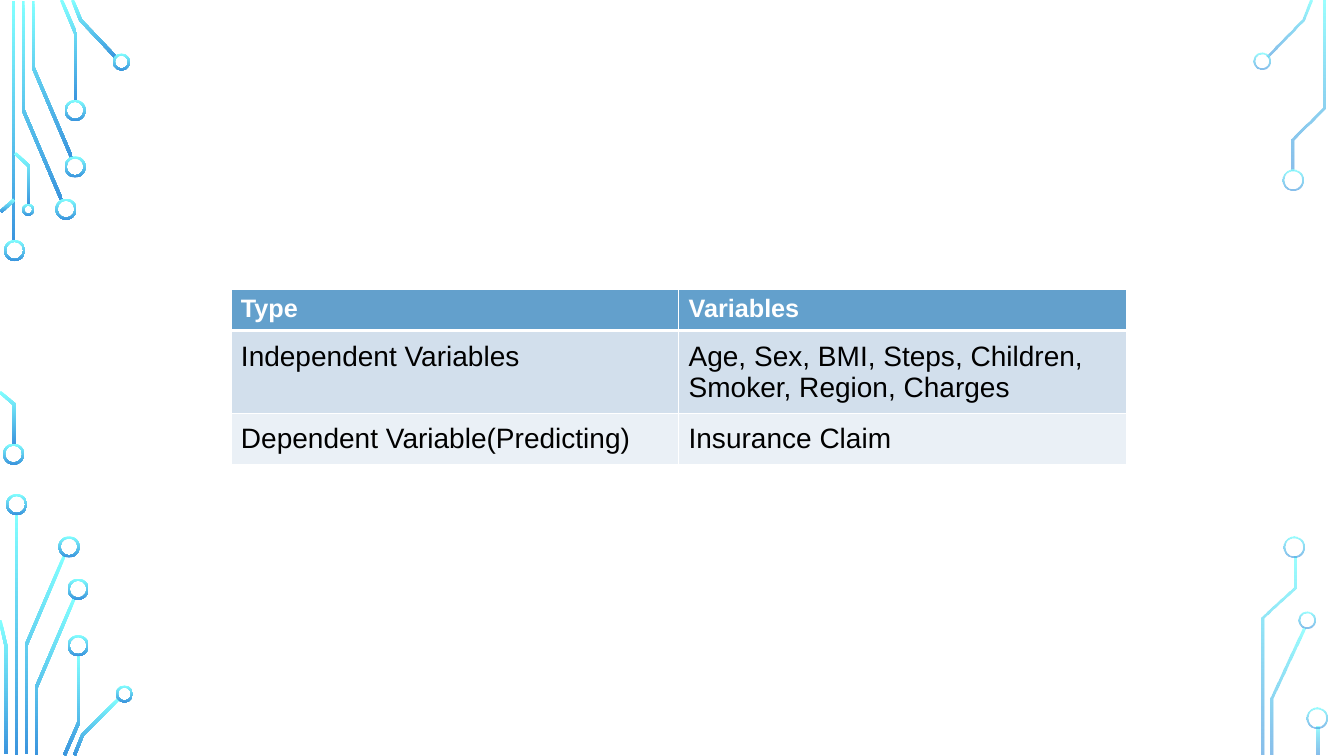
from dataclasses import dataclass

from lxml.etree import SubElement
from pptx import Presentation
from pptx.dml.color import RGBColor
from pptx.enum.shapes import MSO_SHAPE as Preset
from pptx.oxml.ns import qn
from pptx.util import Inches, Pt

CYAN = RGBColor(0x82, 0xFF, 0xFF)
BLUE = RGBColor(0x3B, 0x95, 0xDE)
WHITE = RGBColor(0xFF, 0xFF, 0xFF)
BLACK = RGBColor(0x00, 0x00, 0x00)
HEADER_FILL = RGBColor(0x63, 0xA0, 0xCC)
BODY_FILLS = (RGBColor(0xD2, 0xDF, 0xEC), RGBColor(0xEA, 0xF0, 0xF6))

TRACE_WIDTH = 0.03
RING_BAND = 0.02
FADED_OPACITY = (80, 60)
SLIDE_MIDDLE = 6.67


@dataclass
class Bar:
    left: float
    top: float
    height: float


@dataclass
class Ring:
    left: float
    top: float
    size: float = 0.21


@dataclass
class Trace:
    """A circuit line given by its centre points."""
    points: list[tuple[float, float]]

    def outline(self) -> list[tuple[float, float]]:
        centres = [complex(x, y) for x, y in self.points]
        normals = [(b - a) / abs(b - a) * 1j for a, b in zip(centres, centres[1:])]
        offsets = []
        for before, after in zip(normals[:1] + normals, normals + normals[-1:]):
            cosine = (before * after.conjugate()).real
            offsets.append((before + after) / (1 + cosine) * TRACE_WIDTH / 2)
        one_side = [c + o for c, o in zip(centres, offsets)]
        other_side = [c - o for c, o in zip(centres, offsets)]
        return [(p.real, p.imag) for p in one_side + other_side[::-1]]


BARS = [Bar(0.12, 0.01, 2.39), Bar(0.15, 5.1, 2.39), Bar(13.06, 7.21, 0.28)]

RINGS = [
    # Left edge
    Ring(0.04, 2.38), Ring(0.03, 4.4), Ring(0.55, 1.97), Ring(0.64, 1.55),
    Ring(0.64, 0.99), Ring(1.12, 0.53, 0.17), Ring(0.22, 2.02, 0.12),
    Ring(0.06, 4.9), Ring(0.58, 5.32), Ring(0.67, 5.74), Ring(0.67, 6.3),
    Ring(1.15, 6.8, 0.17),
    # Right edge
    Ring(12.43, 0.52, 0.17), Ring(12.72, 1.68), Ring(12.88, 6.07, 0.17),
    Ring(12.73, 5.32), Ring(12.96, 7.02),
]

TRACES = [
    # Top left
    Trace([(0.23, 0.01), (0.23, 1.09), (0.61, 1.98)]),
    Trace([(0.33, 0.01), (0.33, 0.67), (0.71, 1.56)]),
    Trace([(0.61, 0), (0.75, 0.33), (0.75, 1)]),
    Trace([(0.72, 0), (0.8, 0.2), (1.15, 0.57)]),
    Trace([(0.14, 1.98), (0.01, 2.1)]),
    Trace([(0, 3.89), (0.14, 4.01), (0.14, 4.41)]),
    Trace([(0.15, 1.52), (0.29, 1.65), (0.29, 2.03)]),
    # Bottom left
    Trace([(0.64, 5.51), (0.26, 6.4), (0.26, 7.48)]),
    Trace([(0, 6.15), (0.06, 6.41), (0.06, 7.48)]),
    Trace([(0.74, 5.93), (0.36, 6.82), (0.36, 7.49)]),
    Trace([(0.78, 6.5), (0.78, 7.17), (0.64, 7.49)]),
    Trace([(1.18, 6.93), (0.82, 7.29), (0.74, 7.49)]),
    # Right edge
    Trace([(13, 0), (12.92, 0.2), (12.57, 0.56)]),
    Trace([(12.93, 6.23), (12.62, 6.93), (12.62, 7.49)]),
    Trace([(13.13, 0.01), (13.13, 1.07), (12.82, 1.38), (12.82, 1.69)]),
    Trace([(12.84, 5.52), (12.84, 5.83), (12.53, 6.13), (12.53, 7.49)]),
]

TABLE_ROWS = [
    ("Type", "Variables"),
    ("Independent Variables", "Age, Sex, BMI, Steps, Children, Smoker, Region, Charges"),
    ("Dependent Variable(Predicting)", "Insurance Claim"),
]


def paint(shape) -> None:
    """Cyan above, blue below; faded on the right half of the slide."""
    shape.shadow.inherit = False
    shape.line.fill.background()
    shape.fill.gradient()
    shape.fill.gradient_angle = 270
    for stop, color in zip(shape.fill.gradient_stops, (CYAN, BLUE)):
        stop.color.rgb = color
    if shape.left > Inches(SLIDE_MIDDLE):
        colors = shape._element.spPr.iter(qn("a:srgbClr"))
        for color, opacity in zip(colors, FADED_OPACITY):
            SubElement(color, qn("a:alpha"), val=str(opacity * 1000))


def draw_bar(slide, bar: Bar) -> None:
    paint(slide.shapes.add_shape(Preset.RECTANGLE, Inches(bar.left), Inches(bar.top),
                                 Inches(TRACE_WIDTH), Inches(bar.height)))


def draw_ring(slide, ring: Ring) -> None:
    size = Inches(ring.size)
    shape = slide.shapes.add_shape(Preset.DONUT, Inches(ring.left), Inches(ring.top), size, size)
    shape.adjustments[0] = RING_BAND / ring.size
    paint(shape)


def draw_trace(slide, trace: Trace) -> None:
    corners = [(Inches(x), Inches(y)) for x, y in trace.outline()]
    builder = slide.shapes.build_freeform(*corners[0])
    builder.add_line_segments(corners[1:], close=True)
    paint(builder.convert_to_shape())


def set_borders(cell, top: int, bottom: int) -> None:
    properties = cell._tc.get_or_add_tcPr()
    for side, width in (("L", 1), ("R", 1), ("T", top), ("B", bottom)):
        line = SubElement(properties, qn(f"a:ln{side}"), w=str(Pt(width)))
        fill = SubElement(line, qn("a:solidFill"))
        SubElement(fill, qn("a:srgbClr"), val=str(WHITE))


def draw_table(slide) -> None:
    frame = slide.shapes.add_table(len(TABLE_ROWS), 2, Inches(2.29), Inches(2.87),
                                   Inches(8.88), Inches(1.23))
    table = frame.table
    for row_index, texts in enumerate(TABLE_ROWS):
        header = row_index == 0
        table.rows[row_index].height = Inches(0.41)
        for column_index, text in enumerate(texts):
            cell = table.cell(row_index, column_index)
            set_borders(cell, 3 if row_index == 1 else 1, 3 if header else 1)
            cell.fill.solid()
            cell.fill.fore_color.rgb = HEADER_FILL if header else BODY_FILLS[row_index - 1]
            cell.margin_left = cell.margin_right = Inches(0.1)
            cell.margin_top = cell.margin_bottom = Inches(0.05 if header else 0.1)
            cell.text = text
            font = cell.text_frame.paragraphs[0].font
            font.name = "Arial"
            font.size = Pt(18 if header else 20)
            font.bold = header
            font.color.rgb = WHITE if header else BLACK


def main() -> None:
    presentation = Presentation()
    presentation.slide_width = Inches(13.33)
    presentation.slide_height = Inches(7.5)
    slide = presentation.slides.add_slide(presentation.slide_layouts[6])

    # Circuit decoration
    for bar in BARS:
        draw_bar(slide, bar)
    for trace in TRACES:
        draw_trace(slide, trace)
    for ring in RINGS:
        draw_ring(slide, ring)

    # Variables table
    draw_table(slide)
    presentation.save("out.pptx")


if __name__ == "__main__":
    main()
